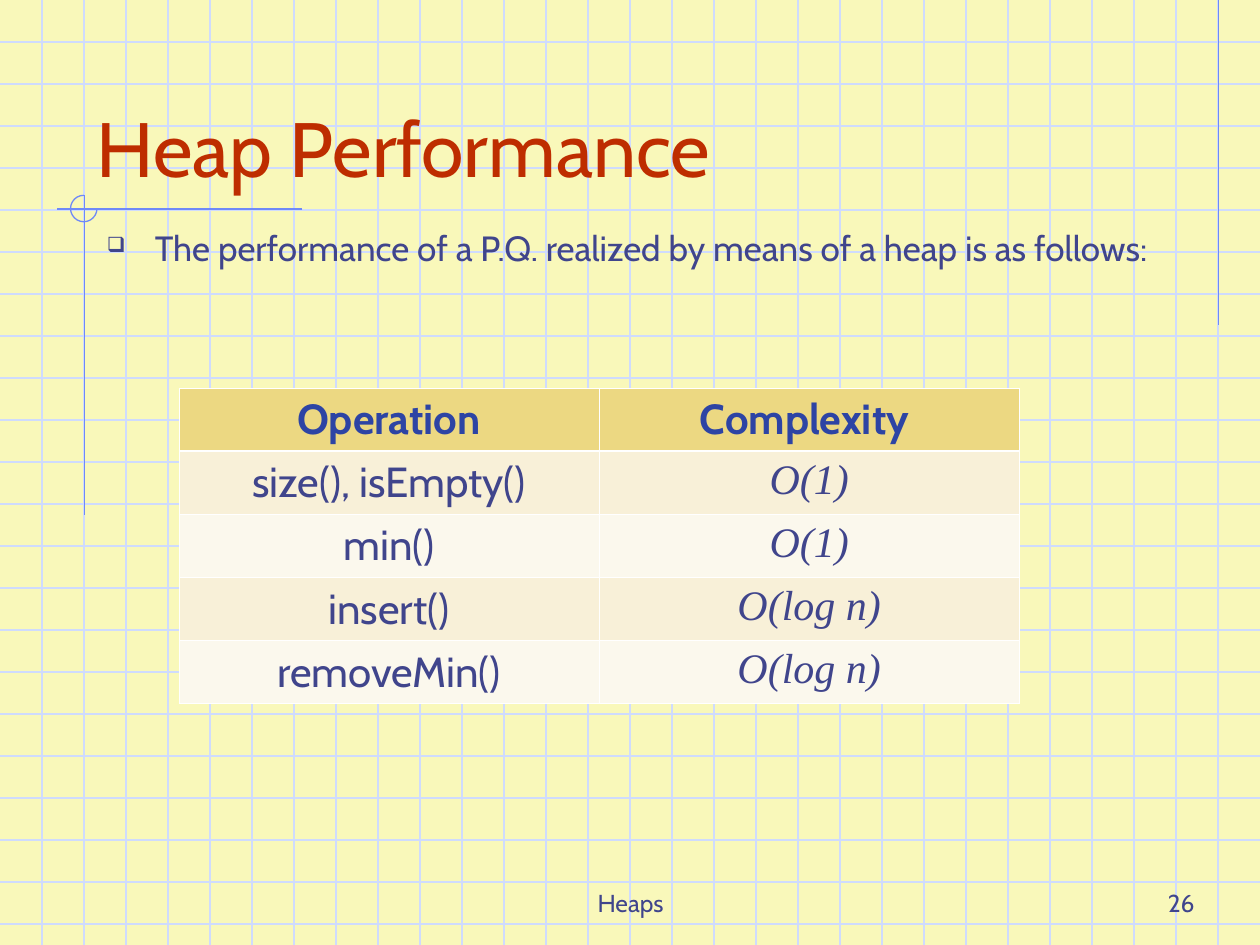
from dataclasses import dataclass

from lxml import etree
from pptx import Presentation
from pptx import util as u
from pptx.dml.color import RGBColor
from pptx.enum import shapes, text
from pptx.oxml import parse_xml
from pptx.oxml.ns import nsdecls, qn

COLORS = {
    "paper": "F9F8BA", "grid": "CFDBFD", "accent": "6F89F7", "title": "BE2D00",
    "body": "40458C", "header": "2D44A4", "header_fill": "ECD882",
    "odd_fill": "F8F0D8", "even_fill": "FBF8ED", "border": "FFFFFF",
}
WIDTH, HEIGHT, GRID_STEP = 10, 7.5, 1 / 3
ALIGN, ANCHOR = text.PP_ALIGN, text.MSO_ANCHOR
OPERATIONS = [
    ("Operation", "Complexity "),
    ("size(), isEmpty()", "O(1)"),
    ("min()", "O(1)"),
    ("insert()", "O(log n)"),
    ("removeMin()", "O(log n)"),
]


@dataclass
class Rule:
    start: tuple
    end: tuple
    color: str = "accent"


@dataclass
class Label:
    words: str
    frame: tuple
    size: int
    color: str = "body"
    align: ALIGN = ALIGN.LEFT
    anchor: ANCHOR = ANCHOR.BOTTOM


RULES = [
    *(Rule((0, row * GRID_STEP), (WIDTH, row * GRID_STEP), "grid") for row in range(1, 23)),
    *(Rule((col * GRID_STEP, 0), (col * GRID_STEP, HEIGHT), "grid") for col in range(1, 30)),
    Rule((9.67, 0), (9.67, 2.58)),
    Rule((2.4, 1.66), (0.45, 1.66)),
    Rule((0.67, 1.55), (0.67, 4.09)),
]
TITLE = Label("Heap Performance", (0.67, 0.33, 8.5, 1.25), 44, "title")
BODY = Label("The performance of a P.Q. realized by means of a heap is as follows:",
             (0.75, 1.75, 8.92, 0.92), 20, anchor=ANCHOR.TOP)
FOOTERS = [
    Label("Heaps", (3.42, 6.83, 3.17, 0.5), 14, align=ALIGN.CENTER),
    Label("26", (7.5, 6.83, 2.08, 0.5), 14, align=ALIGN.RIGHT),
]


def rgb(name: str) -> RGBColor:
    """Return the named colour."""
    return RGBColor.from_string(COLORS[name])


def write(para, words: str, color: str, **formats) -> None:
    """Add one formatted span to a paragraph."""
    span = para.add_run()
    span.text = words
    for name, value in {"name": "Cabin", **formats}.items():
        setattr(span.font, name, value)
    span.font.color.rgb = rgb(color)


def draw_rule(page, rule: Rule) -> None:
    """Draw a thin straight line."""
    ends = map(u.Inches, (*rule.start, *rule.end))
    line = page.shapes.add_connector(shapes.MSO_CONNECTOR.STRAIGHT, *ends)
    line.line.color.rgb = rgb(rule.color)
    line.line.width = u.Pt(0.75)
    etree.SubElement(line.element.spPr, qn("a:effectLst"))


def draw_ring(page) -> None:
    """Draw the three-quarter ring where the accent lines cross."""
    frame = map(u.Inches, (0.56, 1.55, 0.21, 0.21))
    ring = page.shapes.add_shape(shapes.MSO_SHAPE.ARC, *frame)
    ring.adjustments[0] = 0
    ring.adjustments[1] = 162
    ring.shadow.inherit = False
    ring.fill.background()
    ring.line.color.rgb = rgb("accent")
    ring.line.width = u.Pt(0.75)


def draw_label(page, label: Label, bullet: str = "") -> None:
    """Draw a text box, with a hanging bullet if one is given."""
    box = page.shapes.add_textbox(*map(u.Inches, label.frame))
    box.text_frame.word_wrap = True
    box.text_frame.vertical_anchor = label.anchor
    para = box.text_frame.paragraphs[0]
    para.alignment = label.align
    if bullet:
        properties = para._p.get_or_add_pPr()
        indent = u.Inches(0.38)
        properties.set("marL", str(indent))
        properties.set("indent", str(-indent))
        color = etree.SubElement(properties, qn("a:buClr"))
        etree.SubElement(color, qn("a:srgbClr"), val=COLORS[label.color])
        etree.SubElement(properties, qn("a:buSzPct"), val="60000")
        etree.SubElement(properties, qn("a:buChar"), char=bullet)
    write(para, label.words, label.color, size=u.Pt(label.size))


def set_borders(cell, top: float, bottom: float) -> None:
    """Give a cell borders of the given widths in points."""
    properties = cell._tc.get_or_add_tcPr()
    for side, width in {"L": 0.45, "R": 0.45, "T": top, "B": bottom}.items():
        properties.append(parse_xml(
            f'<a:ln{side} {nsdecls("a")} w="{u.Pt(width)}"><a:solidFill>'
            f'<a:srgbClr val="{COLORS["border"]}"/></a:solidFill></a:ln{side}>'))


def draw_table(page, rows: list) -> None:
    """Draw the table of operations and their complexity."""
    frame = map(u.Inches, (1.42, 3.08, 6.67, 2.5))
    table = page.shapes.add_table(len(rows), 2, *frame).table
    for row, entries in enumerate(rows):
        header = row == 0
        fill = "header_fill" if header else "odd_fill" if row % 2 else "even_fill"
        for col, words in enumerate(entries):
            cell = table.cell(row, col)
            set_borders(cell, 1.47 if row == 1 else 0.45, 1.47 if header else 0.45)
            cell.fill.solid()
            cell.fill.fore_color.rgb = rgb(fill)
            para = cell.text_frame.paragraphs[0]
            para.alignment = ALIGN.CENTER
            formula = col == 1 and not header
            write(para, words, "header" if header else "body", size=u.Pt(24), bold=header,
                  italic=formula, name="Times New Roman" if formula else "Cabin")


def main() -> None:
    """Build the slide and save it."""
    deck = Presentation()
    deck.slide_width, deck.slide_height = u.Inches(WIDTH), u.Inches(HEIGHT)
    page = deck.slides.add_slide(deck.slide_layouts[6])
    page.background.fill.solid()
    page.background.fill.fore_color.rgb = rgb("paper")
    for rule in RULES:
        draw_rule(page, rule)
    draw_ring(page)
    for label in (*FOOTERS, TITLE):
        draw_label(page, label)
    draw_label(page, BODY, bullet="❑")
    draw_table(page, OPERATIONS)
    deck.save("out.pptx")


if __name__ == "__main__":
    main()
